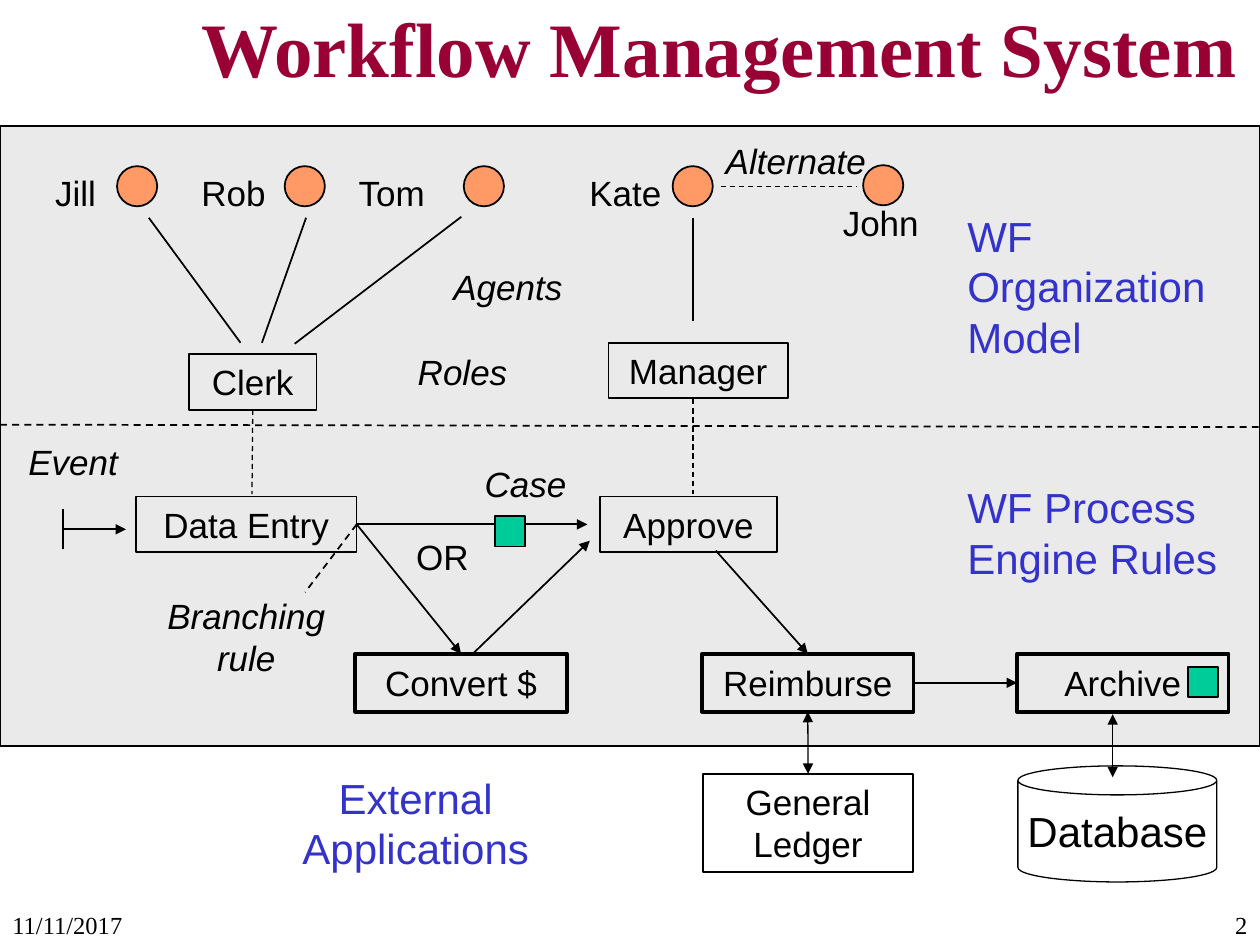
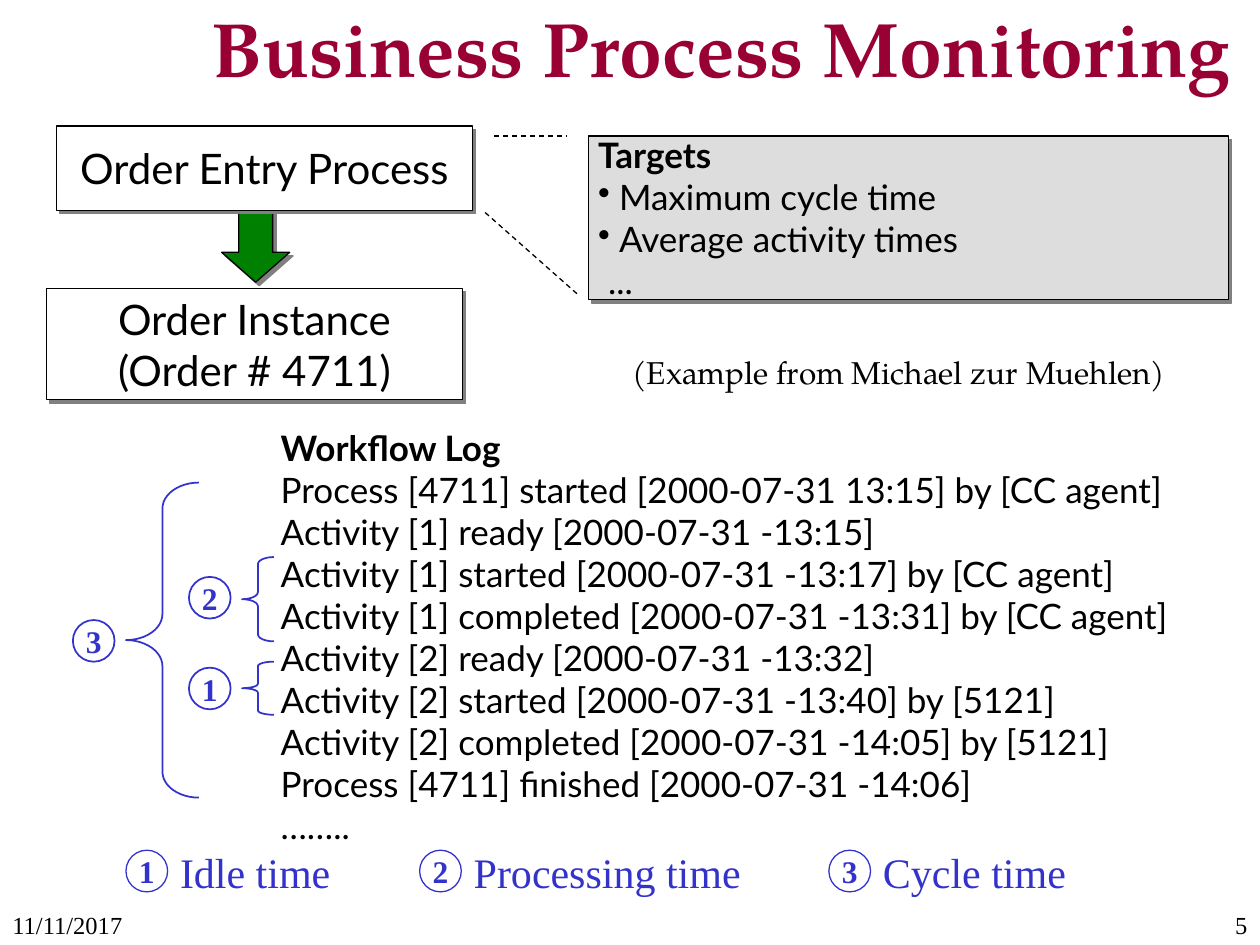
from dataclasses import dataclass

from lxml import etree
from pptx import Presentation
from pptx.dml.color import RGBColor
from pptx.enum import dml, shapes, text
from pptx.oxml import ns
from pptx.util import Cm, Pt

KIND, ALIGN = shapes.MSO_SHAPE, text.PP_ALIGN


@dataclass(frozen=True)
class Theme:
    black: str = "000000"
    white: str = "FFFFFF"
    title: str = "990033"
    accent: str = "3333CC"
    band: str = "EAEAEA"
    panel: str = "DDDDDD"
    shadow: str = "808080"
    agent: str = "FF9966"
    case: str = "00CC99"
    arrow: str = "008000"
    serif: str = "Times New Roman"
    sans: str = "Arial"
    humanist: str = "Lato"
    book: str = "TeX Gyre Pagella"
    title_size: int = 44
    large: int = 24
    body: int = 20
    small: int = 18
    footer: int = 14


T = Theme()
WIDTH, HEIGHT = 25.4, 19.05
DATE = "11/11/2017"

# Workflow slide: all positions in cm
BAND_TOP, BAND_BOTTOM = 2.54, 15.04
AGENT_SIZE, CASE_SIZE, LABEL_H = 0.81, 0.61, 1.09
AGENTS = [  # name, label left, label top, circle left, circle top
    ("Jill", 0.86, 3.33, 2.36, 3.35),
    ("Rob", 3.81, 3.33, 5.74, 3.35),
    ("Tom", 6.98, 3.33, 9.35, 3.35),
    ("Kate", 11.63, 3.33, 13.56, 3.35),
    ("John", 16.74, 3.94, 17.4, 3.33),
]
BOXES = {  # name: (left, top, width, height), line width
    "Clerk": ((3.81, 7.14, 2.57, 1.12), 1),
    "Manager": ((12.27, 6.91, 3.61, 1.12), 1),
    "Data Entry": ((2.74, 10.01, 4.45, 1.12), 1),
    "Approve": ((12.09, 10.01, 3.58, 1.12), 1),
    "Convert $": ((7.16, 13.18, 4.27, 1.17), 2),
    "Reimburse": ((14.15, 13.18, 4.27, 1.17), 2),
    "Archive": ((20.5, 13.18, 4.27, 1.17), 2),
    "General Ledger": ((14.18, 15.6, 4.22, 1.98), 1),
}
TOP, LEFT, BOTTOM, RIGHT = range(4)
LINKS = [  # start, end, line width, dashed, arrowheads; ends are points or box sides
    ((3, 4.39), (4.85, 6.91), 1, False, ""),
    ((6.17, 4.39), (5.28, 6.91), 1, False, ""),
    ((9.3, 4.37), (5.94, 6.93), 1, False, ""),
    ((13.97, 4.39), (13.97, 6.48), 1, False, ""),
    ((1.27, 10.26), (1.27, 11.07), 1, False, ""),
    ((1.3, 10.67), (2.54, 10.67), 1, False, "tail"),
    (("Data Entry", RIGHT), (11.84, 10.57), 1, False, "tail"),
    (("Data Entry", RIGHT), ("Convert $", TOP), 1, False, "tail"),
    ((9.53, 13.18), (11.89, 10.9), 1, False, "tail"),
    ((14.43, 11.1), ("Reimburse", TOP), 1, False, "tail"),
    (("Reimburse", RIGHT), ("Archive", LEFT), 1, False, "tail"),
    (("Reimburse", BOTTOM), ("General Ledger", TOP), 0.75, False, "head tail"),
    ((22.43, 14.4), (22.43, 15.67), 0.75, False, "head tail"),
    ((0, 8.56), (WIDTH, 8.61), 1, True, ""),
    (("Data Entry", RIGHT), (6.15, 11.94), 1, True, ""),
    ((14.53, 3.76), (17.27, 3.76), 0.75, True, ""),
    (("Clerk", BOTTOM), (5.08, 9.96), 0.75, True, ""),
    ((13.97, 8.05), (13.97, 9.96), 0.75, True, ""),
    ((0, BAND_TOP), (WIDTH, BAND_TOP), 0.75, False, ""),
    ((0, BAND_BOTTOM), (WIDTH, BAND_BOTTOM), 0.75, False, ""),
]
CASES = [(9.98, 10.41), (23.95, 13.44)]
DATABASE = ("Database", (20.52, 15.44, 4.01, 2.34))
AREAS = [
    ("WF Organization Model", (19.25, 4.11, 5.72, 3.3), ALIGN.LEFT),
    ("WF Process Engine Rules", (19.25, 9.58, 5.72, 2.29), ALIGN.LEFT),
    ("External Applications", (4.9, 15.44, 6.96, 2.29), ALIGN.CENTER),
]
NOTES = [  # text, place, alignment, italic
    ("OR", (7.65, 10.67, 2.54, LABEL_H), ALIGN.CENTER, False),
    ("Roles", (7.85, 6.93, 2.95, LABEL_H), ALIGN.CENTER, True),
    ("Agents", (8.89, 5.23, 2.95, LABEL_H), ALIGN.LEFT, True),
    ("Case", (9.12, 9.19, 2.95, LABEL_H), ALIGN.CENTER, True),
    ("Event", (0, 8.76, 2.95, LABEL_H), ALIGN.CENTER, True),
    ("Branching rule", (2.74, 11.86, 4.45, 1.93), ALIGN.CENTER, True),
    ("Alternate", (14.38, 2.69, 3.61, LABEL_H), ALIGN.LEFT, True),
]

# Monitoring slide
ORDERS = [
    ("Order Entry Process", (1.14, 2.54, 8.38, 1.7)),
    ("Order Instance\v(Order # 4711)", (0.94, 5.82, 8.38, 2.24)),
]
DOWN_ARROW = (4.47, 4.24, 1.37, 1.45)
TARGETS_AT = (11.86, 2.74, 12.9, 3.3)
TARGETS = [  # text, left margin, bullet
    ("Targets", 0, False),
    ("Maximum cycle time", 0.42, True),
    ("Average activity times", 0.42, True),
    ("...", 0.2, False),
]
ZOOM = [((9.96, 2.74), (11.43, 2.74)), ((11.63, 5.92), (9.73, 4.24))]
SOURCE = ("(Example from Michael zur Muehlen)", (12.5, 6.98, 11.63, 1.02))
LOG_AT = (5.41, 8.46, 18.7, 8.71)
LOG = [
    "Workflow Log",
    "Process [4711] started [2000-07-31 13:15] by [CC agent]",
    "Activity [1] ready [2000-07-31 -13:15]",
    "Activity [1] started [2000-07-31 -13:17] by [CC agent]",
    "Activity [1] completed [2000-07-31 -13:31] by [CC agent]",
    "Activity [2] ready [2000-07-31 -13:32]",
    "Activity [2] started [2000-07-31 -13:40] by [5121]",
    "Activity [2] completed [2000-07-31 -14:05] by [5121]",
    "Process [4711] finished [2000-07-31 -14:06]",
    "……..",
]
MARK_SIZE, LEGEND_TOP = 0.84, 17.14
SPANS = [  # number, marker left and top, brace place, brace curl
    ("1", (3.81, 13.46), (4.88, 13.34, 0.64, 1.07), 0.139),
    ("2", (3.81, 11.63), (4.88, 11.23, 0.64, 1.7), 0.222),
    ("3", (1.47, 12.5), (2.54, 9.73, 1.47, 6.35), 0.357),
]
LEGEND = [("1", "Idle time", 2.54, 3.81), ("2", "Processing time", 8.46, 6.15),
          ("3", "Cycle time", 16.71, 6.15)]


# Helpers
def rgb(value):
    return RGBColor.from_string(value)


def cm(values):
    return [Cm(v) for v in values]


def add_xml(parent, tag, **attributes):
    return etree.SubElement(parent, ns.qn(tag), attributes)


def write(sp, content, size, font, color=T.black, align=ALIGN.LEFT, bold=False,
          italic=False, anchor=text.MSO_ANCHOR.TOP, inset=(0.25, 0.13)):
    tf = sp.text_frame
    tf.text = content
    tf.word_wrap, tf.auto_size = True, text.MSO_AUTO_SIZE.NONE
    tf.vertical_anchor = anchor
    tf.margin_left = tf.margin_right = Cm(inset[0])
    tf.margin_top = tf.margin_bottom = Cm(inset[1])
    for p in tf.paragraphs:
        p.alignment = align
        for r in p.runs:
            r.font.size, r.font.name = Pt(size), font
            r.font.bold, r.font.italic = bold, italic
            r.font.color.rgb = rgb(color)
    return tf


def label(s, content, at, size, font, **options):
    return write(s.shapes.add_textbox(*cm(at)), content, size, font, **options)


def shape(s, kind, at, fill=None, line=T.black, width=1.0, shadow=False, adjust=()):
    sp = s.shapes.add_shape(kind, *cm(at))
    sp.shadow.inherit = False
    if fill:
        sp.fill.solid()
        sp.fill.fore_color.rgb = rgb(fill)
    else:
        sp.fill.background()
    sp.line.color.rgb, sp.line.width = rgb(line), Pt(width)
    for i, value in enumerate(adjust):
        sp.adjustments[i] = value
    if shadow:
        effects = sp._element.spPr.find(ns.qn("a:effectLst"))
        cast = add_xml(effects, "a:outerShdw", dist=str(Pt(2.8)), dir="2700000",
                       algn="ctr", rotWithShape="0")
        add_xml(cast, "a:srgbClr", val=T.shadow)
    return sp


def centred(sp, content, size, font, **options):
    return write(sp, content, size, font, align=ALIGN.CENTER,
                 anchor=text.MSO_ANCHOR.MIDDLE, **options)


def link(s, start, end, width=0.75, dashed=False, arrows="", boxes=None):
    points = [(0, 0) if isinstance(e[0], str) else e for e in (start, end)]
    c = s.shapes.add_connector(shapes.MSO_CONNECTOR.STRAIGHT, *cm(points[0] + points[1]))
    for place, join in ((start, c.begin_connect), (end, c.end_connect)):
        if isinstance(place[0], str):
            join(boxes[place[0]], place[1])
    c.line.color.rgb, c.line.width = rgb(T.black), Pt(width)
    if dashed:
        c.line.dash_style = dml.MSO_LINE.DASH
    for end_name in arrows.split():
        add_xml(c.line._get_or_add_ln(), f"a:{end_name}End", type="triangle")
    add_xml(c._element.spPr, "a:effectLst")


def marker(s, number, left, top, width):
    sp = shape(s, KIND.OVAL, (left, top, MARK_SIZE, MARK_SIZE), line=T.accent, width=width)
    centred(sp, number, T.small, T.serif, color=T.accent, bold=True, inset=(0, 0))


def new_slide(prs, title, number, left, font):
    s = prs.slides.add_slide(prs.slide_layouts[5])
    sp = s.shapes.title
    sp.left, sp.top, sp.width, sp.height = cm((left, 0.2, WIDTH - left, 1.47))
    write(sp, title, T.title_size, font, color=T.title, bold=True,
          anchor=text.MSO_ANCHOR.MIDDLE)
    label(s, DATE, (0, 18.21, 5.28, 0.84), T.footer, T.serif)
    label(s, number, (21.79, 18.21, 3.61, 0.84), T.footer, T.serif, align=ALIGN.RIGHT)
    return s


# Slides
def workflow(prs):
    s = new_slide(prs, "Workflow Management System", "2", 3.81, T.serif)
    shape(s, KIND.RECTANGLE, (0, BAND_TOP, WIDTH, BAND_BOTTOM - BAND_TOP), T.band, width=0.75)
    for name, x, y, circle_x, circle_y in AGENTS:
        shape(s, KIND.OVAL, (circle_x, circle_y, AGENT_SIZE, AGENT_SIZE), T.agent)
        label(s, name, (x, y, 2.5, LABEL_H), T.body, T.sans)
    boxes = {}
    for name, (at, width) in BOXES.items():
        boxes[name] = shape(s, KIND.RECTANGLE, at, width=width)
        centred(boxes[name], name, T.body, T.sans)
    name, at = DATABASE
    centred(shape(s, KIND.CAN, at, width=0.75, adjust=[0.25]), name, T.large, T.sans,
            inset=(0, 0))
    for row in LINKS:
        link(s, *row, boxes=boxes)
    for x, y in CASES:
        shape(s, KIND.RECTANGLE, (x, y, CASE_SIZE, CASE_SIZE), T.case)
    for content, at, align in AREAS:
        label(s, content, at, T.large, T.sans, color=T.accent, align=align)
    for content, at, align, italic in NOTES:
        label(s, content, at, T.body, T.sans, align=align, italic=italic)


def monitoring(prs):
    s = new_slide(prs, "Business Process Monitoring", "5", 4.01, T.book)
    # Orders and their targets
    shape(s, KIND.DOWN_ARROW, DOWN_ARROW, T.arrow, width=0.75, shadow=True,
          adjust=(0.5, 0.439))
    for content, at in ORDERS:
        sp = shape(s, KIND.RECTANGLE, at, T.white, width=0.75, shadow=True)
        centred(sp, content, T.large, T.humanist, inset=(0.2, 0.1))
    sp = shape(s, KIND.RECTANGLE, TARGETS_AT, T.panel, width=0.75, shadow=True)
    tf = write(sp, "\n".join(row[0] for row in TARGETS), T.body, T.humanist,
               anchor=text.MSO_ANCHOR.MIDDLE, inset=(0.2, 0.1))
    tf.paragraphs[0].runs[0].font.bold = True
    for p, (_, margin, bullet) in zip(tf.paragraphs, TARGETS):
        pPr = p._p.get_or_add_pPr()
        pPr.set("marL", str(Cm(margin)))
        pPr.set("indent", str(-Cm(margin) if bullet else 0))
        if bullet:
            add_xml(pPr, "a:buChar", char="•")
    for start, end in ZOOM:
        link(s, start, end, dashed=True)
    label(s, *SOURCE, T.small, T.book)
    # Log with its measured spans
    tf = label(s, "\n".join(LOG), LOG_AT, T.body, T.humanist)
    tf.paragraphs[0].runs[0].font.bold = True
    for number, (x, y), at, curl in SPANS:
        shape(s, KIND.LEFT_BRACE, at, line=T.accent, adjust=(curl, 0.5))
        marker(s, number, x, y, 1)
    for number, content, x, width in LEGEND:
        marker(s, number, x, LEGEND_TOP, 0.75)
        label(s, content, (x + MARK_SIZE, LEGEND_TOP - 0.2, width, 1.27), T.large,
              T.serif, color=T.accent)


def main():
    prs = Presentation()
    prs.slide_width, prs.slide_height = Cm(WIDTH), Cm(HEIGHT)
    workflow(prs)
    monitoring(prs)
    prs.save("out.pptx")


if __name__ == "__main__":
    main()
